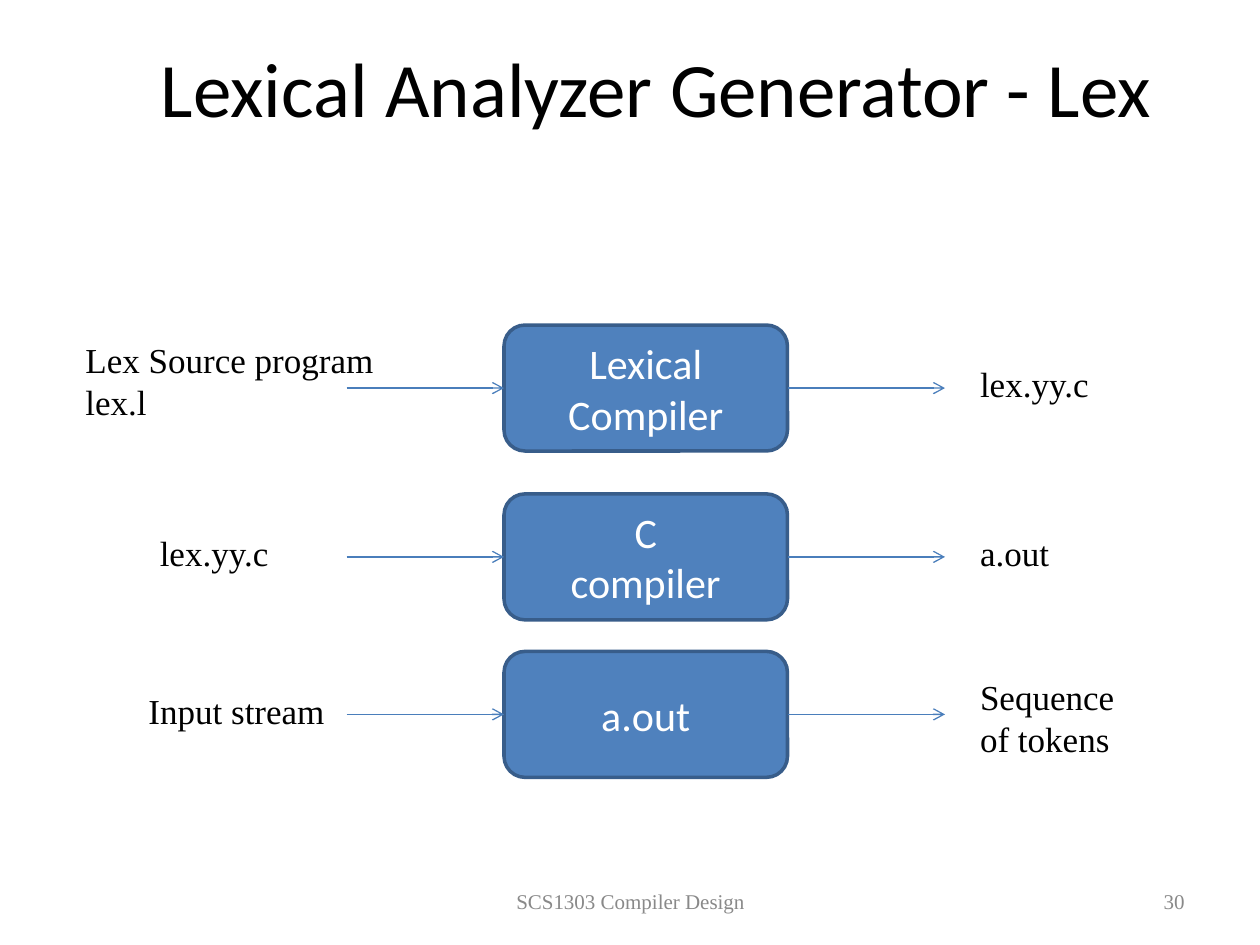
from lxml import etree
from pptx import Presentation
from pptx.dml.color import RGBColor
from pptx.enum.shapes import MSO_CONNECTOR, MSO_SHAPE
from pptx.enum.text import MSO_ANCHOR, PP_ALIGN
from pptx.oxml.ns import qn
from pptx.util import Inches, Pt

LEFT, CENTER, RIGHT = PP_ALIGN.LEFT, PP_ALIGN.CENTER, PP_ALIGN.RIGHT
TOP, MIDDLE = MSO_ANCHOR.TOP, MSO_ANCHOR.MIDDLE
ROUNDED = MSO_SHAPE.ROUNDED_RECTANGLE
STRAIGHT = MSO_CONNECTOR.STRAIGHT

TITLE = {"name": "Calibri", "size": Pt(44)}
STAGE = {"name": "Calibri", "size": Pt(24)}
LABEL = {"name": "Times New Roman", "size": Pt(20)}
FOOTER = {"name": "Times New Roman", "size": Pt(12)}


def rgb(color):
    return RGBColor.from_string(color)


def write(sp, lines, font, color, align, anchor):
    tf = sp.text_frame
    tf.word_wrap = True
    tf.vertical_anchor = anchor
    for i, line in enumerate(lines):
        p = tf.paragraphs[0] if i == 0 else tf.add_paragraph()
        p.alignment = align
        r = p.add_run()
        r.text = line
        for key, value in font.items():
            setattr(r.font, key, value)
        r.font.color.rgb = rgb(color)


prs = Presentation()
prs.slide_width, prs.slide_height = Inches(10), Inches(7.5)
s = prs.slides.add_slide(prs.slide_layouts[6])

stages = [
    (2.58, ["Lexical Compiler"]),
    (3.92, ["C", "compiler"]),
    (5.17, ["a.out"]),
]
for top, lines in stages:
    sp = s.shapes.add_shape(ROUNDED, Inches(4), Inches(top), Inches(2.25), Inches(1))
    sp.shadow.inherit = False
    sp.fill.solid()
    sp.fill.fore_color.rgb = rgb("4F81BD")
    sp.line.color.rgb = rgb("385D8A")
    sp.line.width = Pt(2)
    write(sp, lines, STAGE, "FFFFFF", CENTER, MIDDLE)

    y = Inches(top + 0.5)
    for start in (2.75, 6.25):
        arrow = s.shapes.add_connector(STRAIGHT, Inches(start), y, Inches(start + 1.25), y)
        arrow.line.color.rgb = rgb("4A7EBB")
        arrow.line.width = Pt(0.75)
        etree.SubElement(arrow.line._get_or_add_ln(), qn("a:tailEnd"), type="arrow")
        etree.SubElement(arrow._element.spPr, qn("a:effectLst"))

texts = [
    (0.92, 0.25, 8.58, 0.87, ["Lexical Analyzer Generator - Lex"], TITLE, "000000", CENTER, MIDDLE),
    (0.58, 2.64, 2.52, 1.1, ["Lex Source program", "lex.l"], LABEL, "000000", LEFT, TOP),
    (7.68, 2.83, 1.4, 0.44, ["lex.yy.c"], LABEL, "000000", LEFT, TOP),
    (1.17, 4.17, 1.73, 0.44, ["lex.yy.c"], LABEL, "000000", LEFT, TOP),
    (7.68, 4.17, 1.4, 0.44, ["a.out"], LABEL, "000000", LEFT, TOP),
    (1.08, 5.42, 1.73, 0.44, ["Input stream"], LABEL, "000000", LEFT, TOP),
    (7.68, 5.31, 1.4, 0.77, ["Sequence of tokens"], LABEL, "000000", LEFT, TOP),
    (7.17, 6.95, 2.33, 0.4, ["30"], FOOTER, "898989", RIGHT, MIDDLE),
    (3.42, 6.95, 3.17, 0.4, ["SCS1303 Compiler Design"], FOOTER, "898989", CENTER, MIDDLE),
]
for left, top, width, height, *text in texts:
    box = s.shapes.add_textbox(Inches(left), Inches(top), Inches(width), Inches(height))
    write(box, *text)

prs.save("out.pptx")
